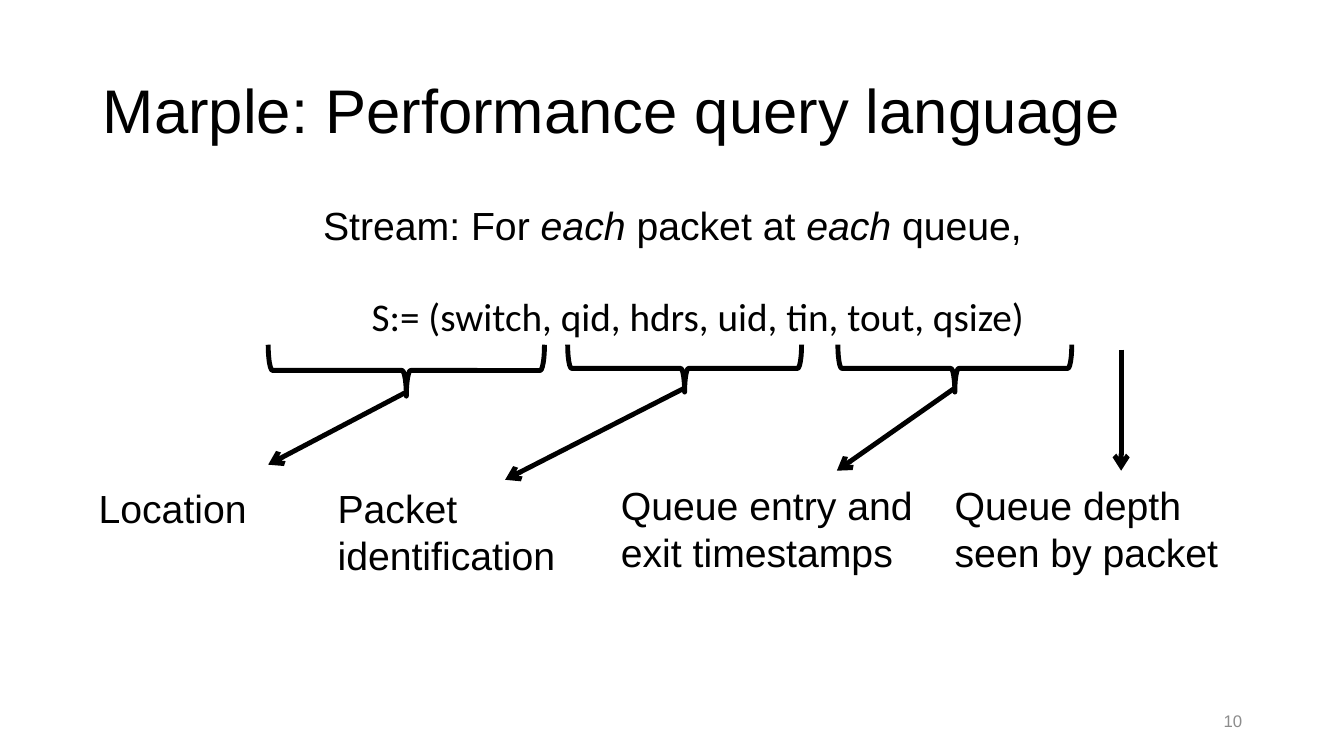
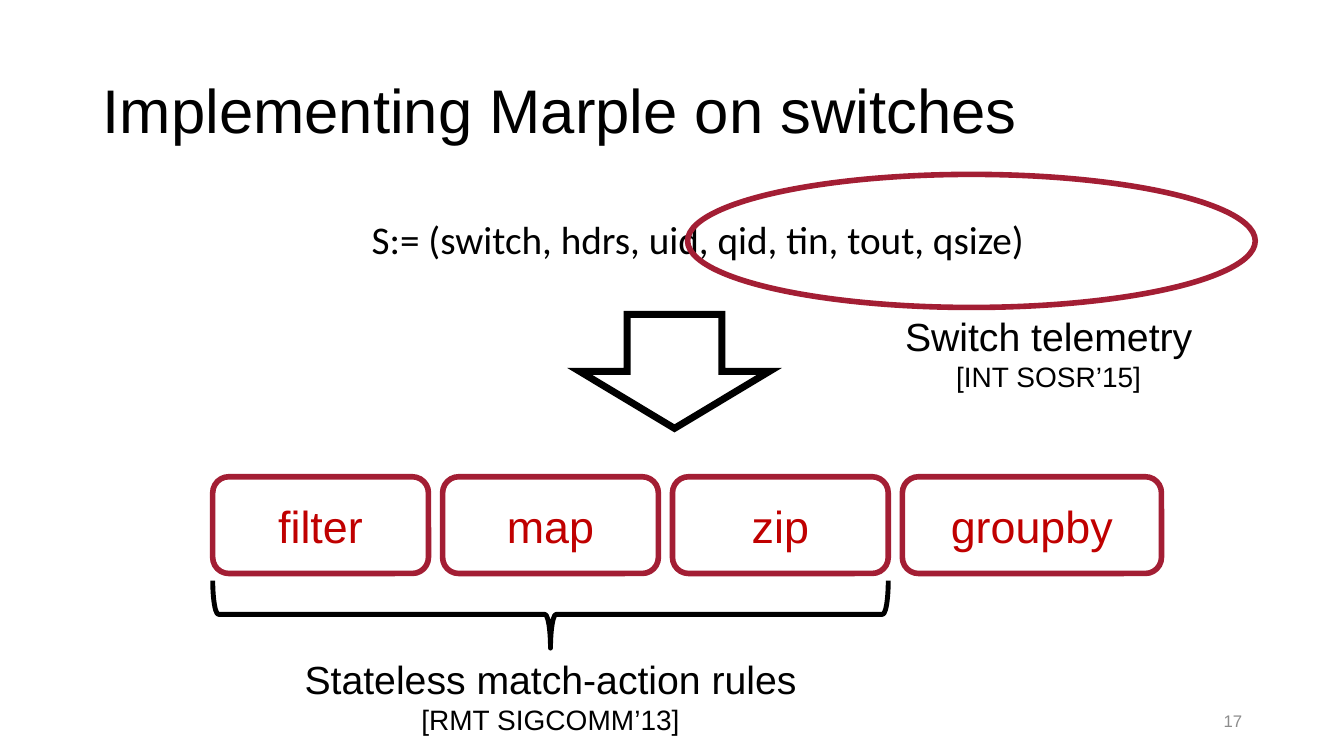
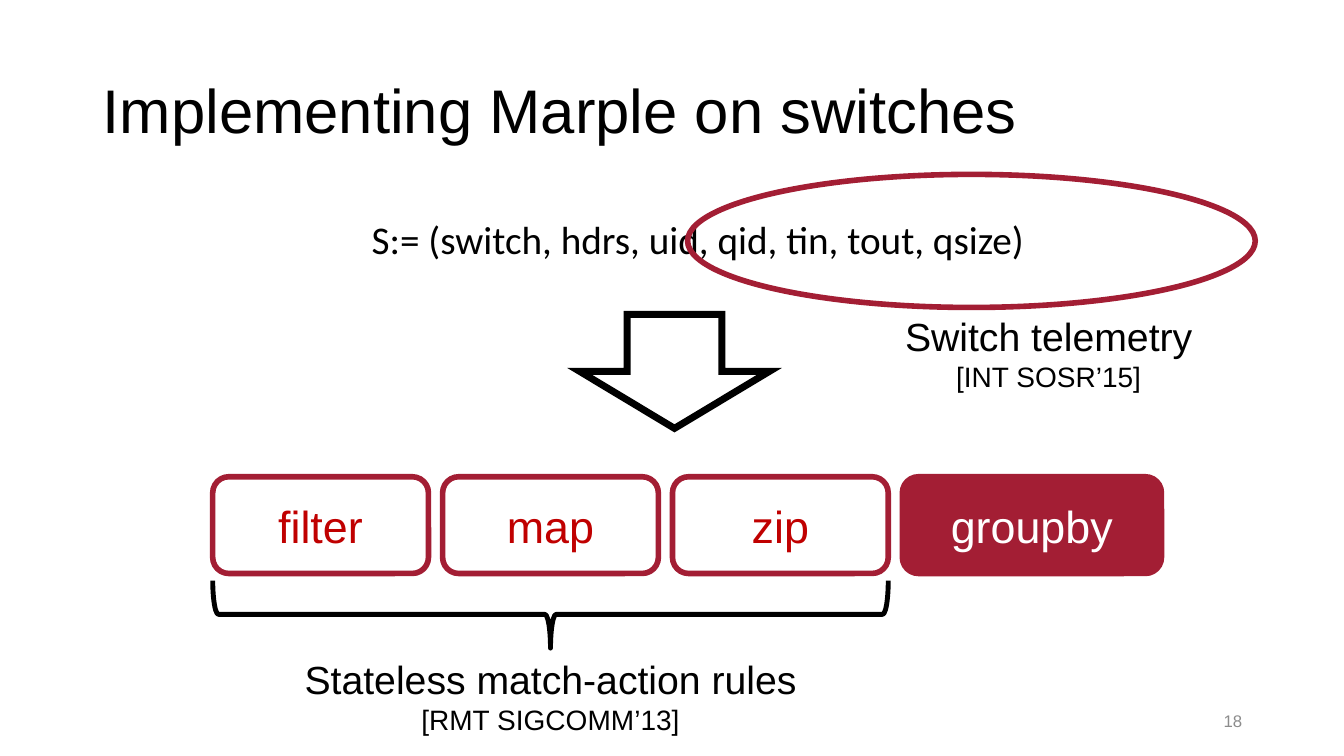
from pptx import Presentation
from pptx.dml.color import RGBColor
from pptx.enum.shapes import MSO_CONNECTOR, MSO_SHAPE
from pptx.enum.text import MSO_ANCHOR, MSO_AUTO_SIZE, PP_ALIGN
from pptx.oxml.ns import qn
from pptx.util import Inches, Pt
from lxml.etree import SubElement

BLACK = "000000"
WHITE = "FFFFFF"
CRIMSON = "A31E34"
RED = "C00000"
GRAY = "8C8C8C"
HEADING_FONT = "Arial"
TUPLE_FONT = "Calibri"
MARGIN = 0.92
CONTENT_WIDTH = 11.5
BRACE_LINE = 3.5


def color(hex_string):
    return RGBColor.from_string(hex_string)


def place(shape, left, top, width, height):
    shape.left, shape.top = Inches(left), Inches(top)
    shape.width, shape.height = Inches(width), Inches(height)


def add_run(paragraph, text, size=28, ink=BLACK, font=HEADING_FONT, italic=False):
    run = paragraph.add_run()
    run.text = text
    run.font.size = Pt(size)
    run.font.name = font
    run.font.italic = italic
    run.font.color.rgb = color(ink)


def indent(paragraph, left):
    properties = paragraph._p.get_or_add_pPr()
    properties.set("marL", str(Inches(left)))
    properties.set("indent", "0")
    SubElement(properties, qn("a:buNone"))


def add_text(slide, box, lines, align=PP_ALIGN.LEFT, anchor=MSO_ANCHOR.TOP):
    frame = slide.shapes.add_textbox(*map(Inches, box)).text_frame
    frame.word_wrap = True
    frame.vertical_anchor = anchor
    for number, (text, style) in enumerate(lines):
        paragraph = frame.add_paragraph() if number else frame.paragraphs[0]
        paragraph.alignment = align
        add_run(paragraph, text, **style)
    return frame


def add_outline(slide, preset, box, ink, weight, fill=None):
    outline = slide.shapes.add_shape(preset, *map(Inches, box))
    outline.shadow.inherit = False
    outline.line.color.rgb = color(ink)
    outline.line.width = Pt(weight)
    if fill:
        outline.fill.solid()
        outline.fill.fore_color.rgb = color(fill)
    else:
        outline.fill.background()
    return outline


def add_brace_below(slide, left, top, width, height):
    middle_x, middle_y = left + width / 2, top + height / 2
    upright = (middle_x - height / 2, middle_y - width / 2, height, width)
    brace = add_outline(slide, MSO_SHAPE.RIGHT_BRACE, upright, BLACK, BRACE_LINE)
    brace.rotation = 90
    return middle_x, top + height


def add_arrow(slide, start, end):
    arrow = slide.shapes.add_connector(
        MSO_CONNECTOR.STRAIGHT, *map(Inches, (*start, *end)))
    arrow.line.color.rgb = color(BLACK)
    arrow.line.width = Pt(BRACE_LINE)
    SubElement(arrow.line._get_or_add_ln(), qn("a:tailEnd"), type="arrow")
    SubElement(arrow._element.spPr, qn("a:effectLst"))


def start_slide(deck, layout, title, number):
    slide = deck.slides.add_slide(deck.slide_layouts.get_by_name(layout))
    heading = slide.shapes.title
    place(heading, MARGIN, 0.4, CONTENT_WIDTH, 1.45)
    frame = heading.text_frame
    frame.auto_size = MSO_AUTO_SIZE.NONE
    frame.vertical_anchor = MSO_ANCHOR.MIDDLE
    paragraph = frame.paragraphs[0]
    paragraph.alignment = PP_ALIGN.LEFT
    paragraph.line_spacing = 0.9
    add_run(paragraph, title, size=44)
    add_text(slide, (9.42, 6.95, 3, 0.4), [(number, {"size": 12, "ink": GRAY})],
             PP_ALIGN.RIGHT, MSO_ANCHOR.MIDDLE)
    return slide


def fill_stream(slide, box):
    body = slide.placeholders[1]
    place(body, *box)
    frame = body.text_frame
    frame.auto_size = MSO_AUTO_SIZE.NONE
    stream = frame.paragraphs[0]
    record = frame.add_paragraph()
    for paragraph, left, before in ((stream, 0, 0), (record, 0.5, 35)):
        paragraph.alignment = PP_ALIGN.CENTER
        paragraph.line_spacing = 0.9
        paragraph.space_before = Pt(before)
        indent(paragraph, left)
    for text, italic in (("Stream: For ", False), ("each ", True),
                         ("packet at ", False), ("each ", True), ("queue,", False)):
        add_run(stream, text, italic=italic)
    add_run(record, "S:= (switch, qid, hdrs, uid, tin, tout, qsize)", font=TUPLE_FONT)


def explain_fields(slide, left, top):
    fields = (
        ("Location", (0, 1.34, 2.17, 0.57), (1.78, 0, 2.74, 0.51), (1.78, 1.19)),
        ("Packet identification", (2.37, 1.34, 2.54, 1.04),
         (4.75, 0, 2.32, 0.47), (4.13, 1.34)),
        ("Queue entry and exit timestamps", (5.18, 1.31, 3.21, 1.04),
         (7.43, 0, 2.32, 0.47), (7.42, 1.25)),
        ("Queue depth seen by packet", (8.49, 1.31, 3.21, 1.04),
         None, (10.24, 1.25)),
    )
    for meaning, (x, y, width, height), brace, (end_x, end_y) in fields:
        add_text(slide, (left + x, top + y, width, height), [(meaning, {})])
        start = (left + end_x, top + 0.05)
        if brace:
            tip_x, tip_y = add_brace_below(
                slide, left + brace[0], top + brace[1], *brace[2:])
            start = (tip_x, tip_y - 0.04)
        add_arrow(slide, start, (left + end_x, top + end_y))


def add_cited_label(slide, box, label, citation):
    add_text(slide, box, [(label, {}), (citation, {"size": 20})], PP_ALIGN.CENTER)


def add_telemetry(slide, left, top):
    record = add_text(
        slide, (left, top + 0.36, CONTENT_WIDTH, 0.57),
        [("S:= (switch, hdrs, uid, qid, tin, tout, qsize)", {"font": TUPLE_FONT})],
        PP_ALIGN.CENTER)
    indent(record.paragraphs[0], 0.5)
    add_outline(slide, MSO_SHAPE.OVAL, (left + 5.9, top, 5.63, 1.32), CRIMSON, 4)
    add_cited_label(slide, (left + 6.67, top + 1.32, 5.62, 0.91),
                    "Switch telemetry", "[INT SOSR’15]")
    down = add_outline(slide, MSO_SHAPE.DOWN_ARROW,
                       (left + 4.83, top + 1.39, 1.88, 1.13), BLACK, 5)
    SubElement(down.line._get_or_add_ln(), qn("a:miter"), lim="800000")


def add_operators(slide, left, top, highlighted):
    gap, height = 0.14, 0.96
    x = left
    for operator, width in (("filter", 2.14), ("map", 2.14),
                            ("zip", 2.14), ("groupby", 2.57)):
        chosen = operator == highlighted
        card = add_outline(slide, MSO_SHAPE.ROUNDED_RECTANGLE, (x, top, width, height),
                           CRIMSON, 4, CRIMSON if chosen else None)
        card.text_frame.vertical_anchor = MSO_ANCHOR.MIDDLE
        paragraph = card.text_frame.paragraphs[0]
        paragraph.alignment = PP_ALIGN.CENTER
        add_run(paragraph, operator, size=32, ink=WHITE if chosen else RED)
        x += width + gap
    tip_x, tip_y = add_brace_below(slide, left, top + 1.03, 6.7, 0.67)
    add_cited_label(slide, (tip_x - 3.81, tip_y + 0.02, 7.62, 0.91),
                    "Stateless match-action rules", "[RMT SIGCOMM’13]")


def add_language_slide(deck):
    slide = start_slide(deck, "Title and Content",
                        "Marple: Performance query language", "10")
    fill_stream(slide, (MARGIN, 2, CONTENT_WIDTH, 4.76))
    explain_fields(slide, 0.88, 3.42)


def add_implementation_slide(deck, number, highlighted=None):
    slide = start_slide(deck, "Title Only", "Implementing Marple on switches", number)
    add_telemetry(slide, MARGIN, 1.73)
    add_operators(slide, 2.11, 4.73, highlighted)


def main():
    deck = Presentation()
    deck.slide_width, deck.slide_height = Inches(13.33), Inches(7.5)
    add_language_slide(deck)
    add_implementation_slide(deck, "17")
    add_implementation_slide(deck, "18", "groupby")
    deck.save("out.pptx")


if __name__ == "__main__":
    main()
